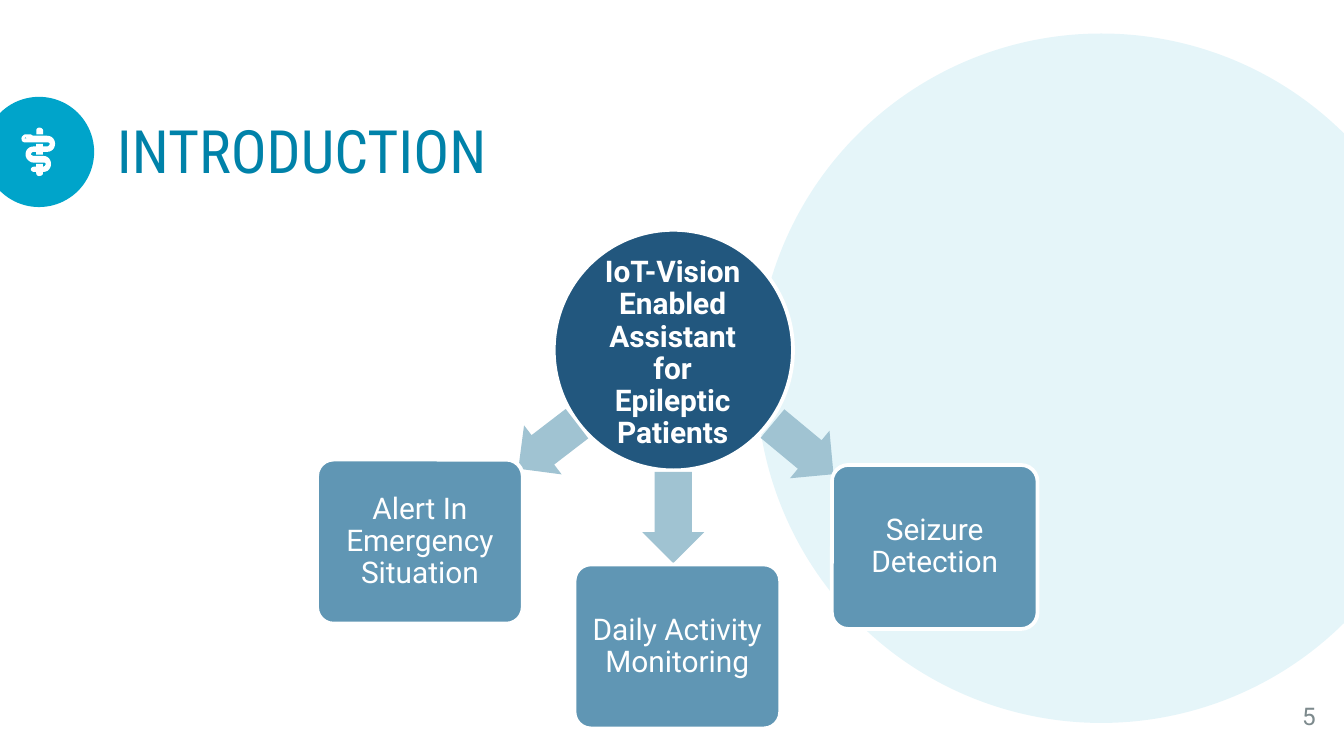
from lxml import etree
from pptx import Presentation
from pptx.dml.color import RGBColor
from pptx.enum.shapes import MSO_SHAPE
from pptx.enum.text import MSO_ANCHOR, PP_ALIGN
from pptx.oxml.ns import qn
from pptx.util import Inches, Pt

CHORD, OVAL = MSO_SHAPE.CHORD, MSO_SHAPE.OVAL
ARROW, ROUNDED = MSO_SHAPE.LEFT_ARROW, MSO_SHAPE.ROUNDED_RECTANGLE
LEFT, CENTER, RIGHT = PP_ALIGN.LEFT, PP_ALIGN.CENTER, PP_ALIGN.RIGHT
MIDDLE = MSO_ANCHOR.MIDDLE

# Content
TITLE = "INTRODUCTION"
PAGE = "5"
HUB = "IoT-Vision Enabled Assistant for Epileptic Patients"
# Each branch: label, box top, arrow place (left, top, width, height), arrow rotation
BRANCHES = [
    ("Alert In Emergency Situation", 3.42, (3.8, 3.09, 0.55, 0.46), 322.5),
    ("Daily Activity Monitoring", 4.2, (4.67, 3.62, 0.68, 0.46), 270),
    ("Seizure Detection", 3.46, (5.68, 3.11, 0.59, 0.46), 219.7),
]
COLORS = {"accent": "00A4CA", "title": "0082A9", "page": "7D8A8D",
          "hub": "22577E", "box": "6096B4", "arrow": "A0C3D2", "white": "FFFFFF"}

# Layout in inches
WIDTH = 10
HEIGHT = WIDTH * 9 / 16
BOX_W, BOX_H = 1.53, 1.22
LABEL_W, LABEL_H = 1.46, 1.15
FIRST_COLUMN, LAST_COLUMN = 2.36, 6.19
COLUMN_STEP = (LAST_COLUMN - FIRST_COLUMN) / (len(BRANCHES) - 1)
CHORD_CUT = (27, 189)  # 45 and 315 degrees, flat side to the right

# Icon outlines: two numbers draw a line, six a Bezier curve
STAFF_TOP = [[(0.32, 0.97), (0.32, 0.96, 0.31, 0.95, 0.29, 0.95),
              (0.28, 0.95, 0.27, 0.96, 0.27, 0.97), (0.27, 1), (0.32, 1)]]
SNAKE = [
    [(0.27, 1.15), (0.32, 1.15), (0.32, 1.13), (0.35, 1.13),
     (0.39, 1.13, 0.41, 1.1, 0.41, 1.07), (0.41, 1.04, 0.39, 1.01, 0.35, 1.01),
     (0.25, 1.01), (0.24, 1.01, 0.23, 1, 0.23, 1), (0.19, 1),
     (0.18, 1, 0.17, 1.01, 0.17, 1.01), (0.16, 1.02, 0.16, 1.03, 0.16, 1.03),
     (0.16, 1.05, 0.17, 1.06, 0.19, 1.06), (0.23, 1.06), (0.35, 1.06),
     (0.36, 1.06, 0.37, 1.06, 0.37, 1.07), (0.37, 1.08, 0.36, 1.09, 0.35, 1.09),
     (0.32, 1.09), (0.32, 1.07), (0.27, 1.07), (0.27, 1.09), (0.25, 1.09),
     (0.22, 1.09, 0.19, 1.11, 0.19, 1.15), (0.19, 1.18, 0.22, 1.21, 0.25, 1.21),
     (0.32, 1.21), (0.33, 1.21, 0.34, 1.21, 0.34, 1.22),
     (0.34, 1.23, 0.33, 1.24, 0.32, 1.24), (0.32, 1.22), (0.27, 1.22),
     (0.27, 1.24), (0.26, 1.24), (0.24, 1.24, 0.23, 1.25, 0.23, 1.26),
     (0.23, 1.27, 0.24, 1.28, 0.26, 1.28), (0.27, 1.28), (0.27, 1.29),
     (0.27, 1.3, 0.28, 1.31, 0.29, 1.31), (0.31, 1.31, 0.32, 1.3, 0.32, 1.29),
     (0.32, 1.28), (0.36, 1.28, 0.38, 1.25, 0.38, 1.22),
     (0.38, 1.19, 0.36, 1.16, 0.32, 1.16), (0.25, 1.16),
     (0.24, 1.16, 0.23, 1.15, 0.23, 1.15), (0.23, 1.14, 0.24, 1.13, 0.25, 1.13),
     (0.27, 1.13)],
    [(0.19, 1.03), (0.18, 1.03), (0.19, 1.02), (0.2, 1.03)],
]


def paint(shape, color, outlined=False):
    shape.shadow.inherit = False
    shape.fill.solid()
    shape.fill.fore_color.rgb = RGBColor.from_string(COLORS[color])
    if outlined:
        shape.line.color.rgb = RGBColor.from_string(COLORS["white"])
        shape.line.width = Pt(2)
    else:
        shape.line.fill.background()


def add_preset(kind, place, color, adjustments=(), rotation=0, outlined=False):
    shape = slide.shapes.add_shape(kind, *map(Inches, place))
    for i, value in enumerate(adjustments):
        shape.adjustments[i] = value
    shape.rotation = rotation
    paint(shape, color, outlined)
    return shape


def add_label(text, place, size, color, font="Roboto", align=CENTER,
              inset=0, spacing=None, bold=False):
    frame = slide.shapes.add_textbox(*map(Inches, place)).text_frame
    frame.word_wrap = True
    frame.vertical_anchor = MIDDLE
    frame.margin_left = frame.margin_right = Inches(inset)
    frame.margin_top = frame.margin_bottom = Inches(inset)
    frame.text = text
    paragraph = frame.paragraphs[0]
    paragraph.alignment = align
    paragraph.line_spacing = spacing
    run_font = paragraph.runs[0].font
    run_font.name, run_font.size, run_font.bold = font, Pt(size), bold
    run_font.color.rgb = RGBColor.from_string(COLORS[color])


def flatten(outline, steps=6):
    points = [outline[0]]
    for segment in outline[1:]:
        if len(segment) == 2:
            points.append(segment)
            continue
        anchors = (points[-1], segment[:2], segment[2:4], segment[4:])
        for t in (i / steps for i in range(1, steps + 1)):
            weights = ((1 - t) ** 3, 3 * t * (1 - t) ** 2, 3 * t * t * (1 - t), t ** 3)
            points.append(tuple(sum(w * p[axis] for w, p in zip(weights, anchors))
                                for axis in (0, 1)))
    return [(Inches(x), Inches(y)) for x, y in points]


def add_outline(contours, color):
    first, *others = [flatten(contour) for contour in contours]
    builder = slide.shapes.build_freeform(*first[0])
    builder.add_line_segments(first[1:], close=True)
    for contour in others:
        builder.move_to(*contour[0])
        builder.add_line_segments(contour[1:], close=True)
    paint(builder.convert_to_shape(), color)


prs = Presentation()
prs.slide_width, prs.slide_height = Inches(WIDTH), Inches(HEIGHT)
slide = prs.slides.add_slide(prs.slide_layouts[6])

# Background circle and title badge, both cut at the slide edge
backdrop = add_preset(CHORD, (5.63, 0.25, 5.13, 5.13), "accent", CHORD_CUT)
tint = backdrop.element.spPr.find(qn("a:solidFill")).find(qn("a:srgbClr"))
etree.SubElement(tint, qn("a:alpha"), val="10000")
add_preset(CHORD, (-0.12, 0.72, 0.82, 0.82), "accent", CHORD_CUT, rotation=180)
add_outline(STAFF_TOP, "white")
add_outline(SNAKE, "white")

# Title and page number
add_label(TITLE, (0.87, 0.74, 4.47, 0.82), 32, "title", "Roboto Condensed", LEFT, spacing=0.9)
add_label(PAGE, (9.41, 5.17, 0.38, 0.31), 13, "page", align=RIGHT)

# Hub
add_preset(OVAL, (4.12, 1.71, 1.78, 1.79), "hub", outlined=True)
add_label(HUB, (4.41, 2.04, 1.19, 1.18), 16, "white", inset=0.02, spacing=0.9, bold=True)

# Branches
for column, (label, top, arrow_place, rotation) in enumerate(BRANCHES):
    left = FIRST_COLUMN + column * COLUMN_STEP
    add_preset(ARROW, arrow_place, "arrow", (0.6, 0.5), rotation)
    add_preset(ROUNDED, (left, top, BOX_W, BOX_H), "box", (0.1,), outlined=True)
    label_left, label_top = left + (BOX_W - LABEL_W) / 2, top + (BOX_H - LABEL_H) / 2
    add_label(label, (label_left, label_top, LABEL_W, LABEL_H),
              16, "white", inset=0.04, spacing=0.9)

prs.save("out.pptx")
